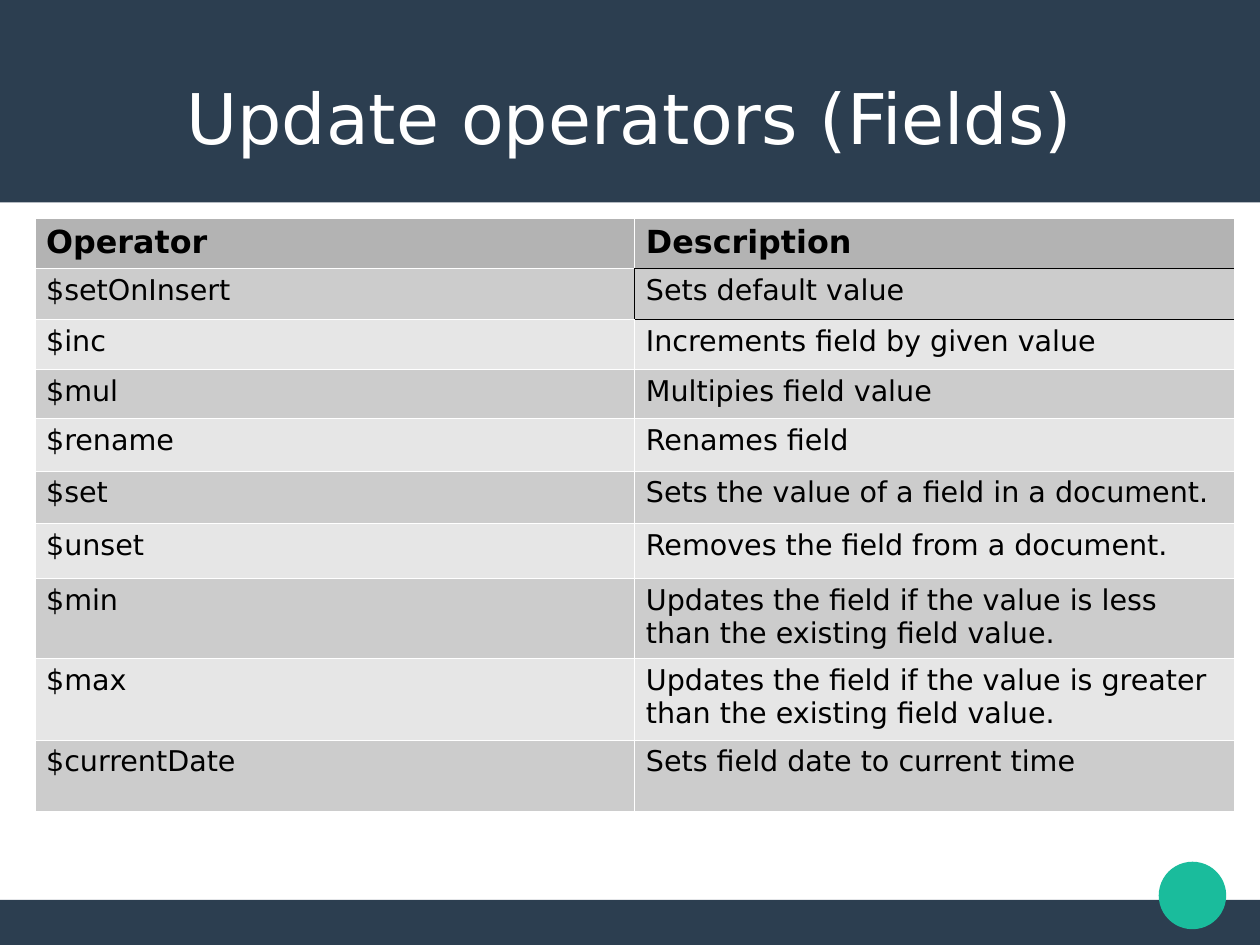
from lxml.etree import SubElement
from pptx import Presentation
from pptx.dml.color import RGBColor
from pptx.enum.shapes import MSO_SHAPE as Preset
from pptx.enum.text import MSO_ANCHOR as Anchor, PP_ALIGN as Align
from pptx.oxml.ns import qn
from pptx.util import Cm, Pt

NAVY = RGBColor(0x2C, 0x3E, 0x50)
TEAL = RGBColor(0x1A, 0xBC, 0x9C)
WHITE = RGBColor(0xFF, 0xFF, 0xFF)
BLACK = RGBColor(0, 0, 0)
HEADER_GREY = RGBColor(0xB3, 0xB3, 0xB3)
BAND_GREYS = [RGBColor(0xE6, 0xE6, 0xE6), RGBColor(0xCC, 0xCC, 0xCC)]

FONT = "DejaVu Sans"
WIDTH, HEIGHT = 28, 21

OPERATORS = [
    ("Operator", "Description", 1.12),
    ("$setOnInsert", "Sets default value", 1.14),
    ("$inc", "Increments field by given value", 1.1),
    ("$mul", "Multipies field value", 1.1),
    ("$rename", "Renames field", 1.16),
    ("$set", "Sets the value of a field in a document.", 1.17),
    ("$unset", "Removes the field from a document.", 1.22),
    ("$min", "Updates the field if the value is less than the existing field value.", 1.74),
    ("$max", "Updates the field if the value is greater than the existing field value.", 1.81),
    ("$currentDate", "Sets field date to current time", 1.58),
]
BLACK_EDGES = {
    (1, 1): ("lnL", "lnT", "lnB"),
    (1, 0): ("lnR",),
    (0, 1): ("lnB",),
    (2, 1): ("lnT",),
}


def write_text(frame, text, size, color=BLACK, bold=False, align=Align.LEFT):
    para = frame.paragraphs[0]
    para.alignment = align
    span = para.add_run()
    span.text = text
    span.font.name = FONT
    span.font.size = Pt(size)
    span.font.bold = bold
    span.font.color.rgb = color


def add_filled(page, preset, box, color):
    shape = page.shapes.add_shape(preset, *map(Cm, box))
    shape.shadow.inherit = False
    shape.fill.solid()
    shape.fill.fore_color.rgb = color
    shape.line.fill.background()
    return shape


def add_header(page, box):
    left, top, width, height = box
    add_filled(page, Preset.RECTANGLE, box, NAVY)
    title = page.shapes.add_textbox(
        Cm(left + 1.4), Cm(top + 0.84), Cm(width - 2.8), Cm(height - 1))
    frame = title.text_frame
    frame.word_wrap = True
    frame.vertical_anchor = Anchor.MIDDLE
    frame.margin_left = frame.margin_right = frame.margin_top = frame.margin_bottom = 0
    write_text(frame, "Update operators (Fields)", 44, color=WHITE, align=Align.CENTER)


def add_footer(page, box):
    left, top, width, height = box
    add_filled(page, Preset.RECTANGLE, box, NAVY)
    add_filled(page, Preset.OVAL, (left + width - 2.25, top - 0.85, 1.5, 1.5), TEAL)


def set_borders(cell, black_edges):
    properties = cell._tc.get_or_add_tcPr()
    for edge in ("lnL", "lnR", "lnT", "lnB"):
        line = SubElement(properties, qn(f"a:{edge}"), w="720")
        fill = SubElement(line, qn("a:solidFill"))
        color = BLACK if edge in black_edges else WHITE
        SubElement(fill, qn("a:srgbClr"), val=str(color))


def add_operator_table(page, box):
    table = page.shapes.add_table(len(OPERATORS), 2, *map(Cm, box)).table
    for column in table.columns:
        column.width = Cm(box[2] / 2)
    for r, (operator, description, height) in enumerate(OPERATORS):
        table.rows[r].height = Cm(height)
        is_header = r == 0
        for c, text in enumerate((operator, description)):
            cell = table.cell(r, c)
            set_borders(cell, BLACK_EDGES.get((r, c), ()))
            cell.fill.solid()
            cell.fill.fore_color.rgb = HEADER_GREY if is_header else BAND_GREYS[r % 2]
            write_text(cell.text_frame, text, 20 if is_header else 18, bold=is_header)


deck = Presentation()
deck.slide_width, deck.slide_height = Cm(WIDTH), Cm(HEIGHT)
page = deck.slides.add_slide(deck.slide_layouts[6])
page.background.fill.solid()
page.background.fill.fore_color.rgb = WHITE
add_footer(page, (0, HEIGHT - 1, WIDTH, 1))
add_header(page, (0, 0, WIDTH, 4.5))
add_operator_table(page, (0.77, 4.84, 26.66, sum(row[2] for row in OPERATORS)))
deck.save("out.pptx")
